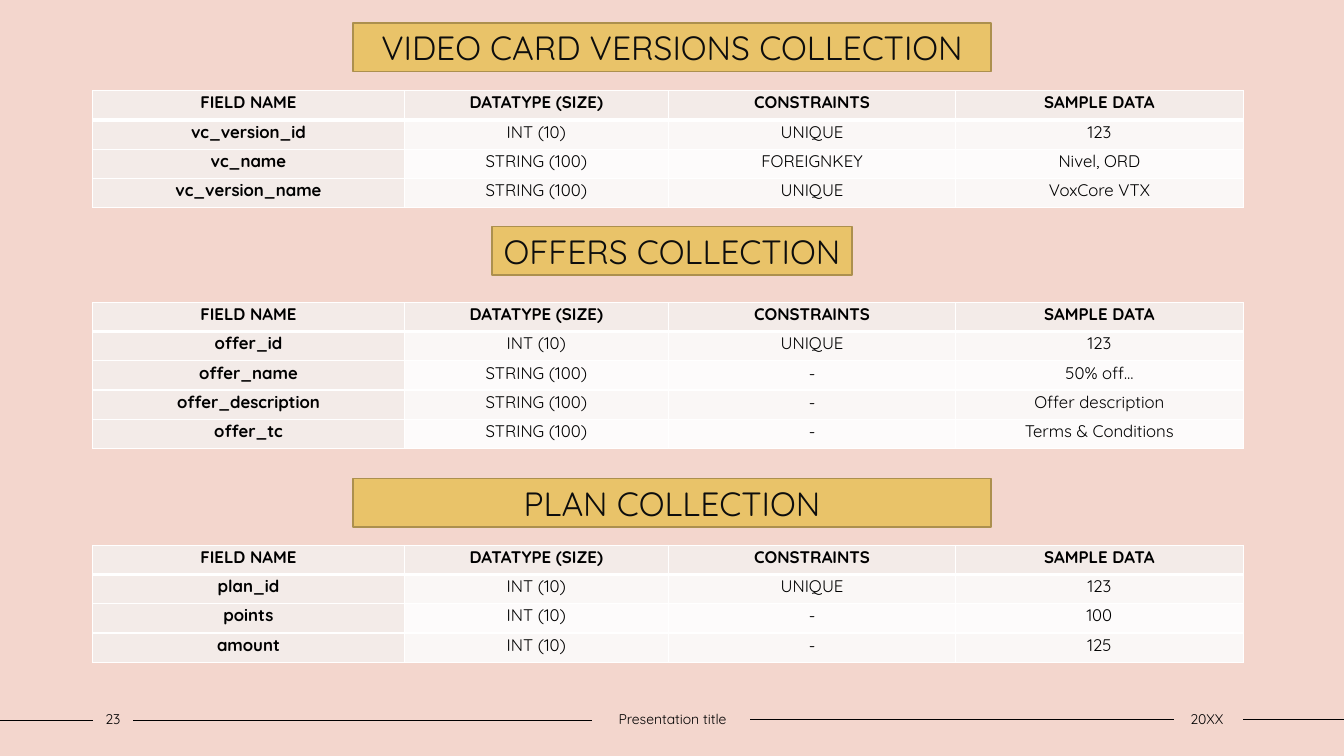
import pptx
import pptx.dml.color
import pptx.enum.shapes
import pptx.enum.text
import pptx.oxml
import pptx.oxml.ns
import pptx.util
from pptx.util import Inches

COLORS = {
    "background": "F3D6CD",
    "banner": "E9C369",
    "banner_edge": "AC904E",
    "banner_text": "0D0D0D",
    "ink": "000000",
    "label": "F3EBE8",
    "odd_row": "FAF7F6",
    "even_row": "FDFBFB",
    "border": "FFFFFF",
}
FONT = "Quicksand"
MARGIN = 0.92
COLUMN_WIDTHS = [3.09, 2.62, 2.85, 2.85]
ROW_HEIGHT = 0.29
HEADER = ["FIELD NAME", "DATATYPE (SIZE)", "CONSTRAINTS", "SAMPLE DATA"]

# title, banner (left, top, width), table top, rows
COLLECTIONS = [
    ("VIDEO CARD VERSIONS COLLECTION", (3.5, 0.23, 6.33), 0.9, [
        ["vc_version_id", "INT (10)", "UNIQUE", "123"],
        ["vc_name", "STRING (100)", "FOREIGNKEY", "Nivel, ORD"],
        ["vc_version_name", "STRING (100)", "UNIQUE", "VoxCore VTX"],
    ]),
    ("OFFERS COLLECTION", (4.88, 2.25, 3.57), 3, [
        ["offer_id", "INT (10)", "UNIQUE", "123"],
        ["offer_name", "STRING (100)", "-", "50% off…"],
        ["offer_description", "STRING (100)", "-", "Offer description"],
        ["offer_tc", "STRING (100)", "-", "Terms & Conditions"],
    ]),
    ("PLAN COLLECTION", (3.5, 4.75, 6.33), 5.41, [
        ["plan_id", "INT (10)", "UNIQUE", "123"],
        ["points", "INT (10)", "-", "100"],
        ["amount", "INT (10)", "-", "125"],
    ]),
]
FOOTER_RULES = [(0, 0.92, 7.15), (1.32, 5.87, 7.15), (7.44, 11.64, 7.14), (12.33, 13.33, 7.14)]
FOOTER_TEXTS = [("23", 0.92, 0.4), ("Presentation title", 5.87, 1.6), ("20XX", 11.62, 0.7)]


def color(name):
    return pptx.dml.color.RGBColor.from_string(COLORS[name])


class Painter:
    """Holds the shared style and the current page."""

    def __init__(self, page):
        self.page = page
        page.background.fill.solid()
        page.background.fill.fore_color.rgb = color("background")

    def centered_text(self, frame, text, size, ink="ink", bold=False):
        para = frame.paragraphs[0]
        para.alignment = pptx.enum.text.PP_ALIGN.CENTER
        span = para.add_run()
        span.text = text
        span.font.name = FONT
        span.font.size = pptx.util.Pt(size)
        span.font.bold = bold
        span.font.color.rgb = color(ink)
        return para

    def rule(self, start, end, top):
        line = self.page.shapes.add_connector(
            pptx.enum.shapes.MSO_CONNECTOR.STRAIGHT,
            Inches(start), Inches(top), Inches(end), Inches(top))
        line.line.color.rgb = color("ink")
        line.line.width = pptx.util.Pt(1)
        line._element.spPr.append(pptx.oxml.parse_xml(
            f'<a:effectLst {pptx.oxml.ns.nsdecls("a")}/>'))

    def footer_text(self, text, left, width):
        box = self.page.shapes.add_textbox(Inches(left), Inches(7), Inches(width), Inches(0.27))
        frame = box.text_frame
        frame.word_wrap = True
        frame.vertical_anchor = pptx.enum.text.MSO_ANCHOR.MIDDLE
        frame.margin_left = frame.margin_right = 0
        self.centered_text(frame, text, 10)

    def banner(self, text, left, top, width):
        box = self.page.shapes.add_shape(
            pptx.enum.shapes.MSO_SHAPE.RECTANGLE,
            Inches(left), Inches(top), Inches(width), Inches(0.48))
        box.shadow.inherit = False
        box.fill.solid()
        box.fill.fore_color.rgb = color("banner")
        box.line.color.rgb = color("banner_edge")
        box.line.width = pptx.util.Pt(1)
        box.text_frame.word_wrap = True
        box.text_frame.vertical_anchor = pptx.enum.text.MSO_ANCHOR.MIDDLE
        self.centered_text(box.text_frame, text, 24, "banner_text")

    def borders(self, cell, top, bottom):
        """Draw the four cell borders; top and bottom are widths in points."""
        properties = cell._tc.get_or_add_tcPr()
        widths = {"lnL": 1, "lnR": 1, "lnT": top, "lnB": bottom}
        for place, (side, width) in enumerate(widths.items()):
            properties.insert(place, pptx.oxml.parse_xml(
                f'<a:{side} {pptx.oxml.ns.nsdecls("a")} w="{pptx.util.Pt(width)}">'
                f'<a:solidFill><a:srgbClr val="{COLORS["border"]}"/></a:solidFill></a:{side}>'))

    def cell(self, cell, text, row, column):
        is_label = row == 0 or column == 0
        cell.margin_left = cell.margin_right = Inches(0.07)
        cell.margin_top = cell.margin_bottom = 0
        cell.fill.solid()
        cell.fill.fore_color.rgb = color(
            "label" if is_label else "odd_row" if row % 2 else "even_row")
        para = self.centered_text(cell.text_frame, text, 12, bold=is_label)
        para.line_spacing = 1.07
        para.space_after = pptx.util.Pt(8)
        self.borders(cell, top=3 if row == 1 else 1, bottom=3 if row == 0 else 1)

    def table(self, top, rows):
        table = self.page.shapes.add_table(
            len(rows), len(COLUMN_WIDTHS), Inches(MARGIN), Inches(top),
            Inches(sum(COLUMN_WIDTHS)), Inches(ROW_HEIGHT * len(rows))).table
        for column, width in zip(table.columns, COLUMN_WIDTHS):
            column.width = Inches(width)
        for row, texts in enumerate(rows):
            table.rows[row].height = Inches(ROW_HEIGHT)
            for column, text in enumerate(texts):
                self.cell(table.cell(row, column), text, row, column)


def main():
    deck = pptx.Presentation()
    deck.slide_width, deck.slide_height = Inches(13.33), Inches(7.5)
    painter = Painter(deck.slides.add_slide(deck.slide_layouts[6]))
    for start, end, top in FOOTER_RULES:
        painter.rule(start, end, top)
    for text, left, width in FOOTER_TEXTS:
        painter.footer_text(text, left, width)
    for title, banner, table_top, rows in COLLECTIONS:
        painter.table(table_top, [HEADER, *rows])
        painter.banner(title, *banner)
    deck.save("out.pptx")


if __name__ == "__main__":
    main()
